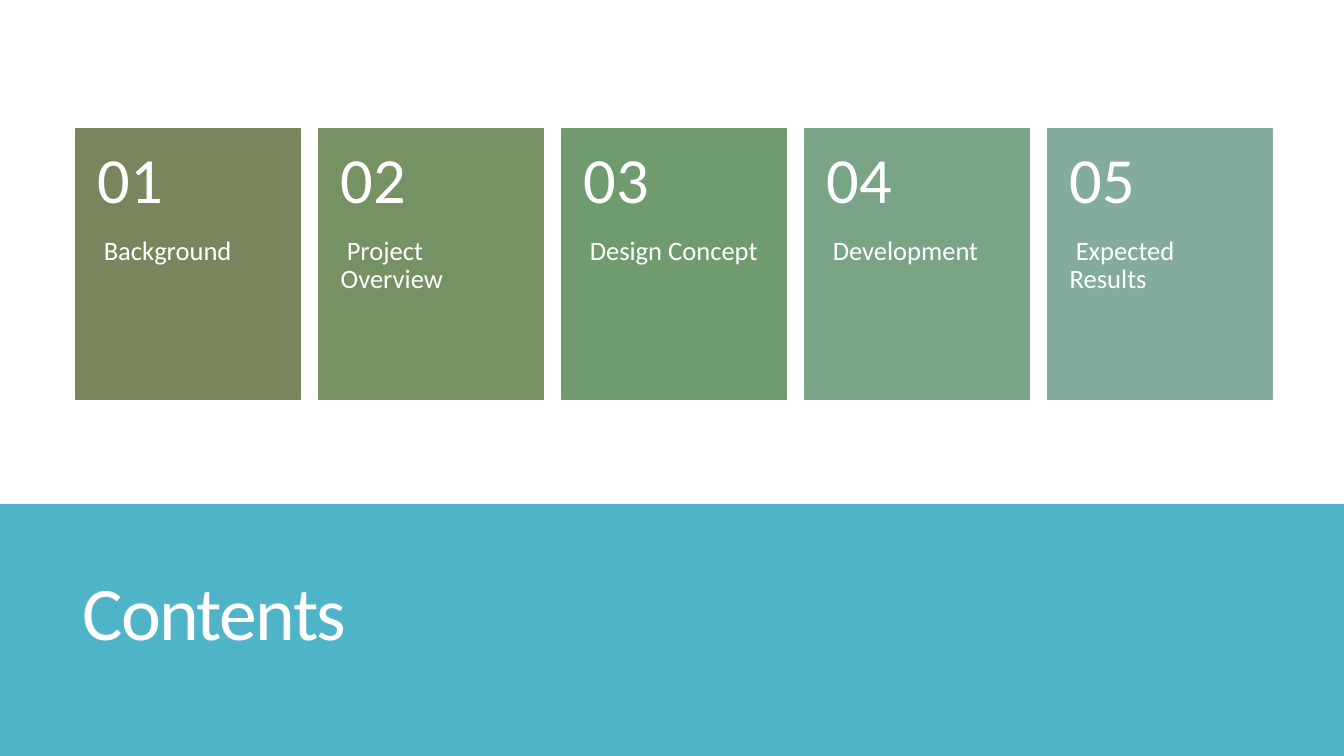
from pptx import Presentation
from pptx.dml.color import RGBColor
from pptx.enum.shapes import MSO_SHAPE
from pptx.enum.text import MSO_ANCHOR, MSO_AUTO_SIZE, PP_ALIGN
from pptx.util import Inches, Pt

RECT = MSO_SHAPE.RECTANGLE
TOP, MIDDLE = MSO_ANCHOR.TOP, MSO_ANCHOR.MIDDLE
LEFT = PP_ALIGN.LEFT
NO_FIT = MSO_AUTO_SIZE.NONE

WIDTH, HEIGHT = 13.33, 7.5
BAND_TOP = HEIGHT * 2 / 3
CARD_LEFT, CARD_TOP = 0.75, 1.28
CARD_W, CARD_H = 2.23, 2.68
CARD_STEP = 2.41
NUMBER_H = CARD_H * 0.4

CARDS = [
    ("Background", "7A855D"),
    ("Project Overview", "769164"),
    ("Design Concept", "709B6E"),
    ("Development", "79A485"),
    ("Expected Results", "84AC9D"),
]


def add_rect(shapes, x, y, w, h, color):
    sp = shapes.add_shape(RECT, Inches(x), Inches(y), Inches(w), Inches(h))
    sp.shadow.inherit = False
    sp.fill.solid()
    sp.fill.fore_color.rgb = RGBColor.from_string(color)
    sp.line.fill.background()
    return sp


def set_text(sp, text, size, color="FFFFFF", anchor=MIDDLE, spacing=0.9,
             insets=(0.1, 0.05, 0.1, 0.05), indent=0, tracking=0):
    """Insets are left, top, right, bottom in inches; tracking is in points."""
    tf = sp.text_frame
    tf.word_wrap = True
    tf.auto_size = NO_FIT
    tf.vertical_anchor = anchor
    tf.margin_left, tf.margin_top, tf.margin_right, tf.margin_bottom = map(Inches, insets)
    p = tf.paragraphs[0]
    p.alignment = LEFT
    p.line_spacing = spacing
    if indent:
        p._p.get_or_add_pPr().set("indent", str(Inches(indent)))
    r = p.add_run()
    r.text = text
    r.font.name = "Calibri"
    r.font.size = Pt(size)
    r.font.color.rgb = RGBColor.from_string(color)
    if tracking:
        r.font._element.set("spc", str(round(tracking * 100)))


prs = Presentation()
prs.slide_width, prs.slide_height = Inches(WIDTH), Inches(HEIGHT)
s = prs.slides.add_slide(prs.slide_layouts[5])

# Title on the bottom band
title = s.shapes.title
title.left, title.top = Inches(0.72), Inches(5.22)
title.width, title.height = Inches(11.78), Inches(1.81)
set_text(title, "Contents", 54, spacing=0.85, tracking=-1.2)
band = add_rect(s.shapes, 0, BAND_TOP, WIDTH, HEIGHT - BAND_TOP, "50B4C8")
title.element.addprevious(band.element)

# Numbered cards
for i, (label, color) in enumerate(CARDS):
    x = CARD_LEFT + i * CARD_STEP
    shapes = s.shapes.add_group_shape().shapes
    card = add_rect(shapes, x, CARD_TOP, CARD_W, CARD_H, color)
    card.line.color.rgb = RGBColor.from_string(color)
    card.line.width = Pt(1)
    label_box = shapes.add_textbox(Inches(x), Inches(CARD_TOP + NUMBER_H),
                                   Inches(CARD_W), Inches(CARD_H - NUMBER_H))
    set_text(label_box, label, 19, anchor=TOP, insets=(0.22, 0, 0.22, 0.36), indent=0.06)
    number_box = shapes.add_textbox(Inches(x), Inches(CARD_TOP), Inches(CARD_W), Inches(NUMBER_H))
    set_text(number_box, f"{i + 1:02}", 46, insets=(0.22, 0.18, 0.22, 0.18))

prs.save("out.pptx")
